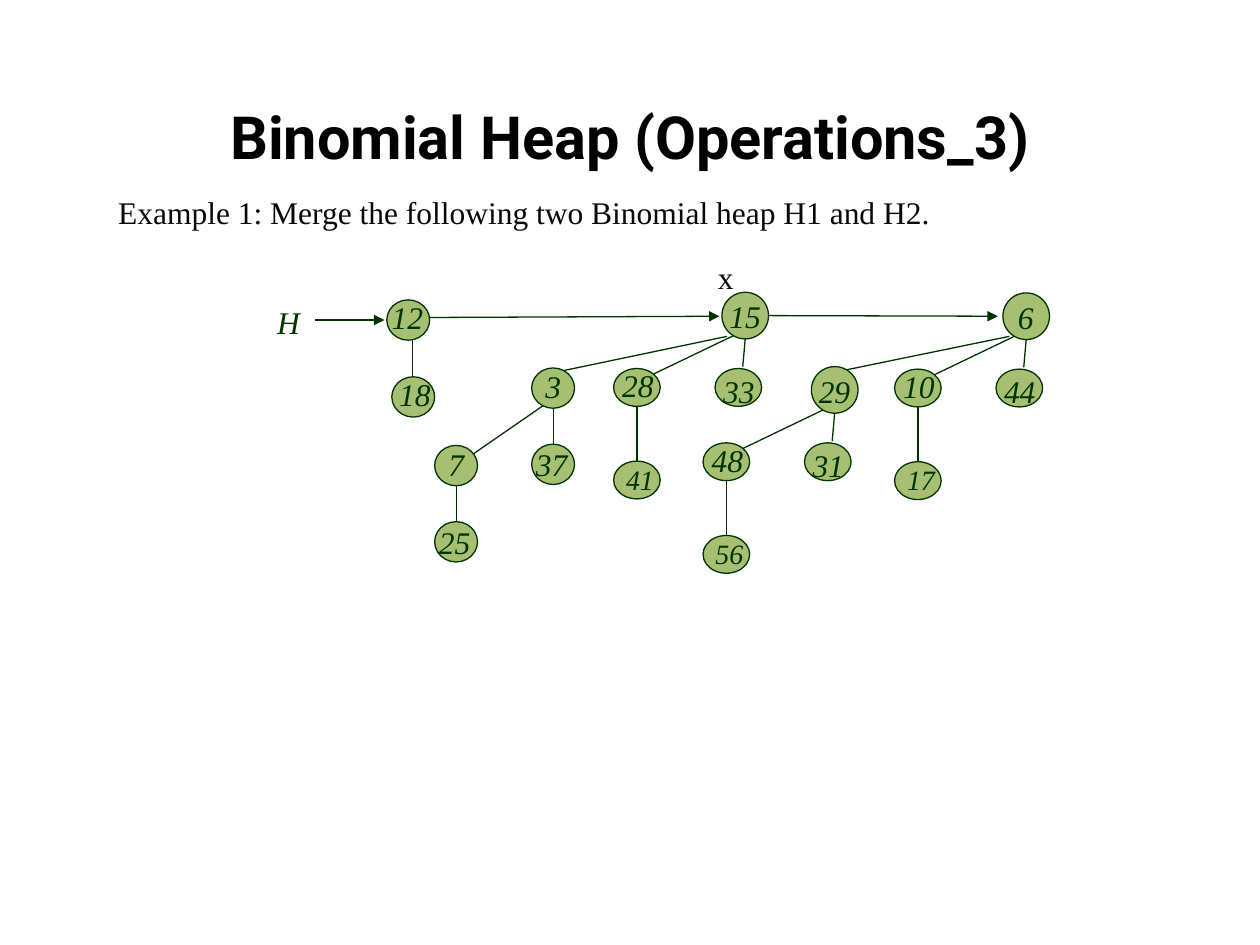
from typing import NamedTuple

from lxml import etree
from pptx import Presentation
from pptx.dml.color import RGBColor
from pptx.enum.shapes import MSO_CONNECTOR, MSO_SHAPE
from pptx.enum.text import MSO_ANCHOR, MSO_AUTO_SIZE, PP_ALIGN
from pptx.oxml.ns import qn
from pptx.util import Inches, Pt

OVAL, STRAIGHT = MSO_SHAPE.OVAL, MSO_CONNECTOR.STRAIGHT
MIDDLE, NO_FIT = MSO_ANCHOR.MIDDLE, MSO_AUTO_SIZE.NONE
LEFT, CENTER, JUSTIFY = PP_ALIGN.LEFT, PP_ALIGN.CENTER, PP_ALIGN.JUSTIFY

COLUMNS, ROWS = 100, 75
SERIF = "Times New Roman"
GREEN, LEAF, INK, BLACK = "003300", "A6BF73", "080808", "000000"


class Role(NamedTuple):
    col: float
    row: float
    width: float
    height: float
    label_dx: float
    label_dy: float
    label_width: float
    size: int = 18


class Edge(NamedTuple):
    start: tuple[float, float]
    end: tuple[float, float]
    arrow: bool = False


class Tree(NamedTuple):
    col: float
    row: float
    keys: tuple[str, ...]
    roles: tuple[Role, ...]
    edges: tuple[Edge, ...]


FOUR_NODES = (
    Role(8.6, -6.05, 3.7, 3.7, -0.4, -0.1, 4.7),
    Role(0, 0, 3.7, 3, -0.3, -0.65, 4.7),
    Role(8.05, 0, 3.7, 3, -0.35, -0.25, 4.9),
    Role(0, 7.35, 3.7, 3, 0, -0.4, 5.9, 16),
)
FOUR_EDGES = (
    Edge((9.6, -2.65), (3.15, 0.45)),
    Edge((10.45, -2.4), (10.25, -0.15)),
    Edge((1.85, 3), (1.85, 7.35)),
)
PAIR_NODES = (
    Role(0, 0, 3.4, 3.2, 0.1, -0.55, 4.2),
    Role(0, 6.05, 3.4, 3.2, -0.65, -0.4, 4.7),
)
PAIR_EDGES = (Edge((1.75, 3.15), (1.75, 6.05)),)
OFFSET_PAIR_NODES = (
    Role(0, 0, 3.4, 3.2, -0.6, -0.6, 5.5),
    Role(0.4, 6.1, 3.4, 3.2, -0.4, -0.6, 5.5),
)
OFFSET_PAIR_EDGES = (Edge((2.05, 3.2), (2.05, 6.1)),)

HEAP = (
    Tree(30.7, 23.8, ("12", "18"), OFFSET_PAIR_NODES, OFFSET_PAIR_EDGES),
    Tree(42.2, 29.2, ("3", "37"), PAIR_NODES, PAIR_EDGES),
    Tree(34.5, 35.35, ("7", "25"), PAIR_NODES, PAIR_EDGES),
    Tree(48.7, 29.25, ("15", "28", "33", "41"), FOUR_NODES, FOUR_EDGES),
    Tree(55.8, 35.15, ("29", "48", "31", "56"), FOUR_NODES, FOUR_EDGES),
    Tree(71, 29.3, ("6", "10", "44", "17"), FOUR_NODES, FOUR_EDGES),
)
LINKS = (
    Edge((25, 25.4), (30.5, 25.4), True),
    Edge((34.1, 25.2), (57.1, 25.1), True),
    Edge((61, 25.05), (79.2, 25.1), True),
    Edge((57.7, 26.7), (44.8, 29.4)),
    Edge((80.1, 26.7), (67.2, 29.35)),
    Edge((43.1, 32.2), (37.6, 36)),
)

presentation = Presentation()
presentation.slide_width, presentation.slide_height = Inches(10), Inches(7.5)
slide = presentation.slides.add_slide(presentation.slide_layouts[5])
shapes = slide.shapes


def x(columns: float) -> int:
    return round(presentation.slide_width * columns / COLUMNS)


def y(rows: float) -> int:
    return round(presentation.slide_height * rows / ROWS)


def color(value: str) -> RGBColor:
    return RGBColor.from_string(value)


def write(frame, text: str, size: int, ink: str, font: str = SERIF,
          align=LEFT, bold: bool = False, italic: bool = False) -> None:
    frame.text = text
    frame.word_wrap = True
    paragraph = frame.paragraphs[0]
    paragraph.alignment = align
    style = paragraph.runs[0].font
    style.name, style.size = font, Pt(size)
    style.bold, style.italic = bold, italic
    style.color.rgb = color(ink)


def add_label(text: str, col: float, row: float, width: float, height: float = 4,
              size: int = 18, ink: str = GREEN, align=LEFT, italic: bool = True) -> None:
    box = shapes.add_textbox(x(col), y(row), x(width), y(height))
    write(box.text_frame, text, size, ink, align=align, italic=italic)


def add_edge(edge: Edge, col: float = 0, row: float = 0) -> None:
    (x1, y1), (x2, y2) = edge.start, edge.end
    connector = shapes.add_connector(
        STRAIGHT, x(col + x1), y(row + y1), x(col + x2), y(row + y2))
    connector.line.color.rgb = color(GREEN)
    connector.line.width = Pt(0.75)
    if edge.arrow:
        etree.SubElement(connector.line._get_or_add_ln(), qn("a:tailEnd"), type="triangle")
    etree.SubElement(connector._element.spPr, qn("a:effectLst"))


def add_node(key: str, role: Role, col: float, row: float) -> None:
    left, top = col + role.col, row + role.row
    node = shapes.add_shape(OVAL, x(left), y(top), x(role.width), y(role.height))
    node.shadow.inherit = False
    node.fill.solid()
    node.fill.fore_color.rgb = color(LEAF)
    node.line.color.rgb = color(GREEN)
    node.line.width = Pt(0.75)
    single_digit_shift = 0.6 if key == "6" else 0
    add_label(key, left + role.label_dx + single_digit_shift, top + role.label_dy,
              role.label_width, size=role.size)


def add_tree(tree: Tree) -> None:
    for edge in tree.edges:
        add_edge(edge, tree.col, tree.row)
    for key, role in zip(tree.keys, tree.roles):
        add_node(key, role, tree.col, tree.row)


def main() -> None:
    title = shapes.title
    title.left, title.top, title.width, title.height = x(5), y(6.8), x(90), y(7.9)
    write(title.text_frame, "Binomial Heap (Operations_3)", 34, BLACK, "Roboto", CENTER, bold=True)
    title.text_frame.vertical_anchor = MIDDLE
    title.text_frame.auto_size = NO_FIT
    add_label("Example 1: Merge the following two Binomial heap H1 and H2.",
              8.4, 14.8, 78.6, 6.2, ink=INK, align=JUSTIFY, italic=False)
    add_label("H", 21, 23.6, 6.1)
    add_label("x", 56, 20, 3.6, 3.7, ink=INK, italic=False)
    for link in LINKS:
        add_edge(link)
    for tree in HEAP:
        add_tree(tree)
    presentation.save("out.pptx")


if __name__ == "__main__":
    main()
